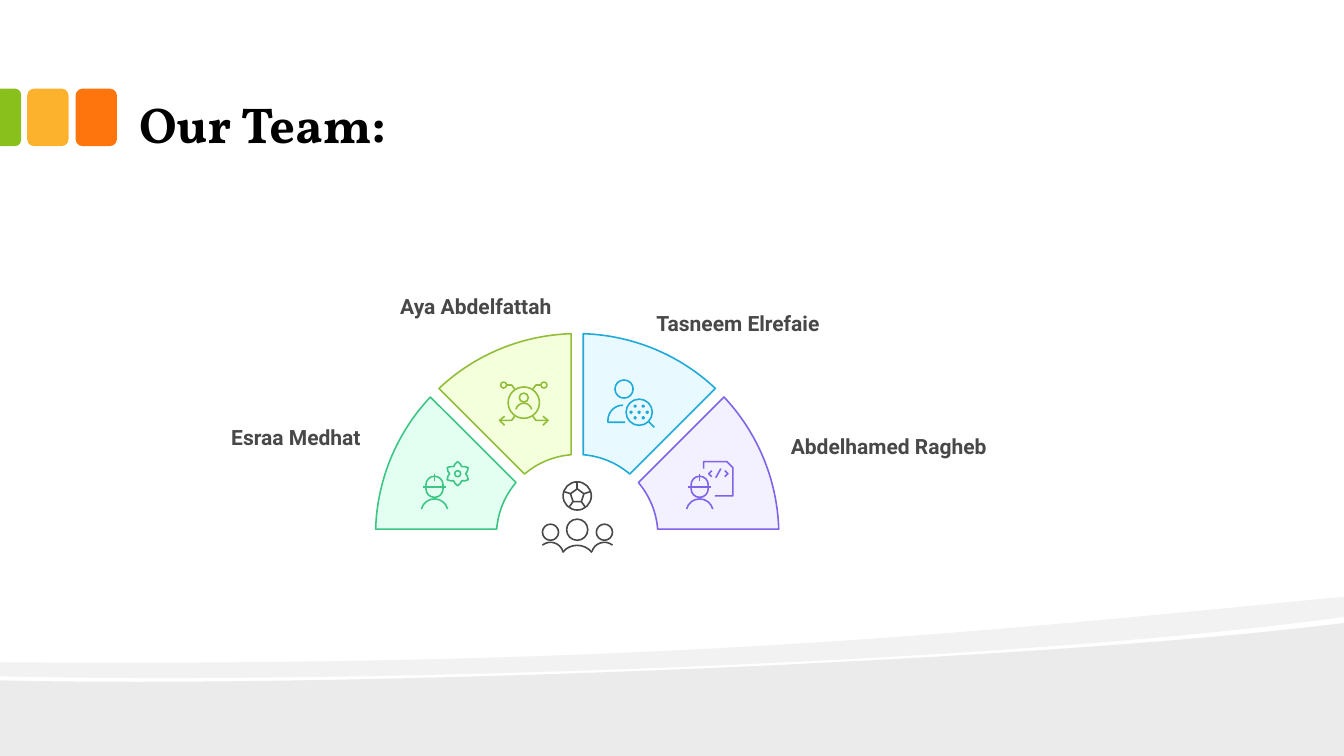
from math import asin, ceil, cos, degrees, radians, sin, tan

from pptx import Presentation
from pptx.dml.color import RGBColor
from pptx.enum.shapes import MSO_SHAPE as SHAPE
from pptx.enum.text import MSO_ANCHOR, MSO_AUTO_SIZE, PP_ALIGN
from pptx.oxml.ns import qn
from pptx.util import Inches, Pt

BLACK = RGBColor(0x00, 0x00, 0x00)
GRAY = RGBColor(0x48, 0x48, 0x48)
WAVE = RGBColor(0xEB, 0xEB, 0xEB)
BAND = RGBColor(0xF2, 0xF2, 0xF2)
TAB_ORANGE = RGBColor(0xFE, 0x75, 0x0E)
TAB_YELLOW = RGBColor(0xFC, 0xB2, 0x2C)
TAB_GREEN = RGBColor(0x89, 0xC0, 0x1C)
PURPLE = RGBColor(0x7F, 0x64, 0xEA)
PALE_PURPLE = RGBColor(0xF3, 0xF0, 0xFF)
BLUE = RGBColor(0x1E, 0xAB, 0xDA)
PALE_BLUE = RGBColor(0xE8, 0xF9, 0xFF)
LIME = RGBColor(0x92, 0xBD, 0x39)
PALE_LIME = RGBColor(0xF4, 0xFF, 0xDC)
GREEN = RGBColor(0x3C, 0xC5, 0x83)
PALE_GREEN = RGBColor(0xE3, 0xFF, 0xF2)

prs = Presentation()
prs.slide_width, prs.slide_height = Inches(13.33), Inches(7.5)
s = prs.slides.add_slide(prs.slide_layouts[5])


def arc(cx, cy, r, start=0, end=360):
    count = ceil(abs(end - start) / 90)
    turn = radians(end - start) / count
    pull = 4 / 3 * tan(turn / 4)
    steps = []
    for i in range(count + 1):
        a = radians(start) + turn * i
        x, y = cos(a), -sin(a)
        before, at, after = [
            (round(cx + r * (x + k * y), 3), round(cy + r * (y - k * x), 3)) for k in (-pull, 0, pull)
        ]
        steps.append((leaving, before, at) if i else at)
        leaving = after
    return steps


def draw(strokes, fill=None, line=None):
    builder = None
    curves = []
    for stroke in strokes:
        points = []
        for step in stroke:
            curved = isinstance(step[0], tuple)
            points += [(Inches(x), Inches(y)) for x, y in (step if curved else [step])]
            curves.append(curved)
        curves.pop(-len(stroke))
        if builder is None:
            builder = s.shapes.build_freeform(*points[0], scale=1.0)
        else:
            builder.move_to(*points[0])
        builder.add_line_segments(points[1:], close=points[0] == points[-1])
    sp = builder.convert_to_shape()
    segments = iter(list(sp._element.iter(qn("a:lnTo"))))
    for curved in curves:
        segment = next(segments)
        if curved:
            segment.tag = qn("a:cubicBezTo")
            for extra in (next(segments), next(segments)):
                segment.append(extra[0])
                extra.getparent().remove(extra)
    sp.shadow.inherit = False
    if fill is None:
        sp.fill.background()
    else:
        sp.fill.solid()
        sp.fill.fore_color.rgb = fill
    if line is None:
        sp.line.fill.background()
    else:
        sp.line.color.rgb = line
        sp.line.width = Pt(1.12)


draw([[
    (0, 6.75), ((3.52, 6.83), (10.42, 6.55), (13.33, 6.18)),
    (13.33, 7.5), (0, 7.5), (0, 6.75),
]], WAVE)
draw([[
    (0, 6.57), ((6.52, 6.62), (9.71, 6.27), (13.33, 5.92)),
    (13.33, 6.12), ((9.94, 6.59), (3.35, 6.79), (0, 6.71)), (0, 6.57),
]], BAND)

for kind, x, y, w, h, color in [
    (SHAPE.ROUNDED_RECTANGLE, 0.75, 0.88, 0.41, 0.57, TAB_ORANGE),
    (SHAPE.ROUNDED_RECTANGLE, 0.27, 0.88, 0.41, 0.57, TAB_YELLOW),
    (SHAPE.ROUND_2_SAME_RECTANGLE, -0.18, 1.06, 0.57, 0.21, TAB_GREEN),
]:
    tab = s.shapes.add_shape(kind, Inches(x), Inches(y), Inches(w), Inches(h))
    tab.shadow.inherit = False
    tab.fill.solid()
    tab.fill.fore_color.rgb = color
    tab.line.fill.background()
tab.rotation = 90
tab.adjustments[0] = 0.29

title = s.shapes.title
title.left, title.top, title.width, title.height = map(Inches, (1.25, 0.17, 10.66, 1.42))
tf = title.text_frame
tf.text = "Our Team:"
tf.auto_size = MSO_AUTO_SIZE.NONE
tf.vertical_anchor = MSO_ANCHOR.BOTTOM
tf.margin_left = tf.margin_right = Inches(0.13)
tf.margin_top = tf.margin_bottom = Inches(0.07)
p = tf.paragraphs[0]
p.alignment = PP_ALIGN.LEFT
p.font.name, p.font.size, p.font.bold = "Vollkorn", Pt(36), True
p.font.color.rgb = BLACK

CENTER_X, CENTER_Y, OUTER, INNER, HALF_GAP = 5.725, 5.31, 2, 0.8, 0.06
outer_gap = degrees(asin(HALF_GAP / OUTER))
inner_gap = degrees(asin(HALF_GAP / INNER))
for i, (fill, line) in enumerate([
    (PALE_PURPLE, PURPLE), (PALE_BLUE, BLUE), (PALE_LIME, LIME), (PALE_GREEN, GREEN),
]):
    start, end = 45 * i, 45 * (i + 1)
    sector = arc(CENTER_X, CENTER_Y, OUTER, start + outer_gap, end - outer_gap)
    sector += arc(CENTER_X, CENTER_Y, INNER, end - inner_gap, start + inner_gap)
    draw([sector + [sector[0]]], fill, line)

for name, x, y, w in [
    ("Aya Abdelfattah", 3.96, 2.91, 1.52),
    ("Tasneem Elrefaie", 6.49, 3.08, 1.66),
    ("Abdelhamed Ragheb", 7.83, 4.3, 1.97),
    ("Esraa Medhat", 2.29, 4.21, 1.29),
]:
    tf = s.shapes.add_textbox(Inches(x), Inches(y), Inches(w), Inches(0.25)).text_frame
    tf.margin_left = tf.margin_right = tf.margin_top = tf.margin_bottom = 0
    tf.word_wrap = False
    tf.text = name
    p = tf.paragraphs[0]
    p.alignment = PP_ALIGN.CENTER
    p.font.name, p.font.size, p.font.bold = "Roboto", Pt(15), True
    p.font.color.rgb = GRAY

network = [arc(5.195, 3.995, 0.155), arc(5.195, 3.945, 0.045), arc(5.195, 4.08, 0.08, 167, 13)]
for side in (-1, 1):
    network.append(arc(5.195 + side * 0.2, 3.82, 0.03))
    for branch in [
        [(0.09, 4.13), (0.12, 4.17), (0.24, 4.17)],
        [(0.17, 3.82), (0.12, 3.82), (0.09, 3.86)],
        [(0.19, 4.22), (0.24, 4.17), (0.19, 4.13)],
    ]:
        network.append([(5.195 + side * x, y) for x, y in branch])
draw(network, line=LIME)

analyst = [
    arc(6.34, 4.09, 0.13),
    [(6.43, 4.18), (6.49, 4.24)],
    arc(6.19, 3.86, 0.09),
    [(6.2, 4.19), (6.03, 4.19)] + arc(6.18, 4.17, 0.15, 180, 90),
]
for y, xs in [(4.03, (6.3, 6.38)), (4.09, (6.26, 6.34, 6.42)), (4.145, (6.3, 6.38))]:
    analyst += [arc(x, y, 0.01) for x in xs]
draw(analyst, line=BLUE)

gear_edge = []
for degree in range(0, 360, 15):
    a = radians(degree)
    r = 0.1 - 0.02 * cos(6 * a)
    gear_edge.append((4.54 + r * cos(a), 4.7 - r * sin(a)))
gear = [gear_edge + [gear_edge[0]], arc(4.54, 4.7, 0.03)]
code_file = [
    [(6.98, 4.65), (6.98, 4.58), (7.21, 4.58), (7.27, 4.64), (7.27, 4.92), (7.09, 4.92)],
    [(7.06, 4.67), (7.03, 4.7), (7.06, 4.73)],
    [(7.19, 4.73), (7.22, 4.7), (7.19, 4.67)],
    [(7.15, 4.65), (7.1, 4.74)],
]
for x, tool, color in [(4.31, gear, GREEN), (6.94, code_file, PURPLE)]:
    head = arc(x, 4.81, 0.085, 180, 0) + arc(x, 4.85, 0.085, 0, -180)
    engineer = [
        head + [head[0]],
        arc(x, 5.085, 0.135, 165, 15),
        [(x, 4.7), (x, 4.77)],
        [(x - 0.115, 4.83), (x + 0.115, 4.83)],
    ]
    draw(engineer + tool, line=color)

pentagon, rim = [
    [(5.725 + r * cos(radians(a)), 4.92 - r * sin(radians(a))) for a in range(90, 450, 72)]
    for r in (0.07, 0.14)
]
team = [arc(5.725, 4.92, 0.14), pentagon + [pentagon[0]]]
team += [list(spoke) for spoke in zip(pentagon, rim)]
team += [
    arc(5.46, 5.28, 0.08),
    arc(5.995, 5.28, 0.08),
    arc(5.725, 5.255, 0.105),
    arc(5.46, 5.51, 0.13, 128, 17),
    arc(5.995, 5.51, 0.13, 52, 163),
    arc(5.725, 5.595, 0.185, 142, 38),
]
draw(team, line=GRAY)

prs.save("out.pptx")
